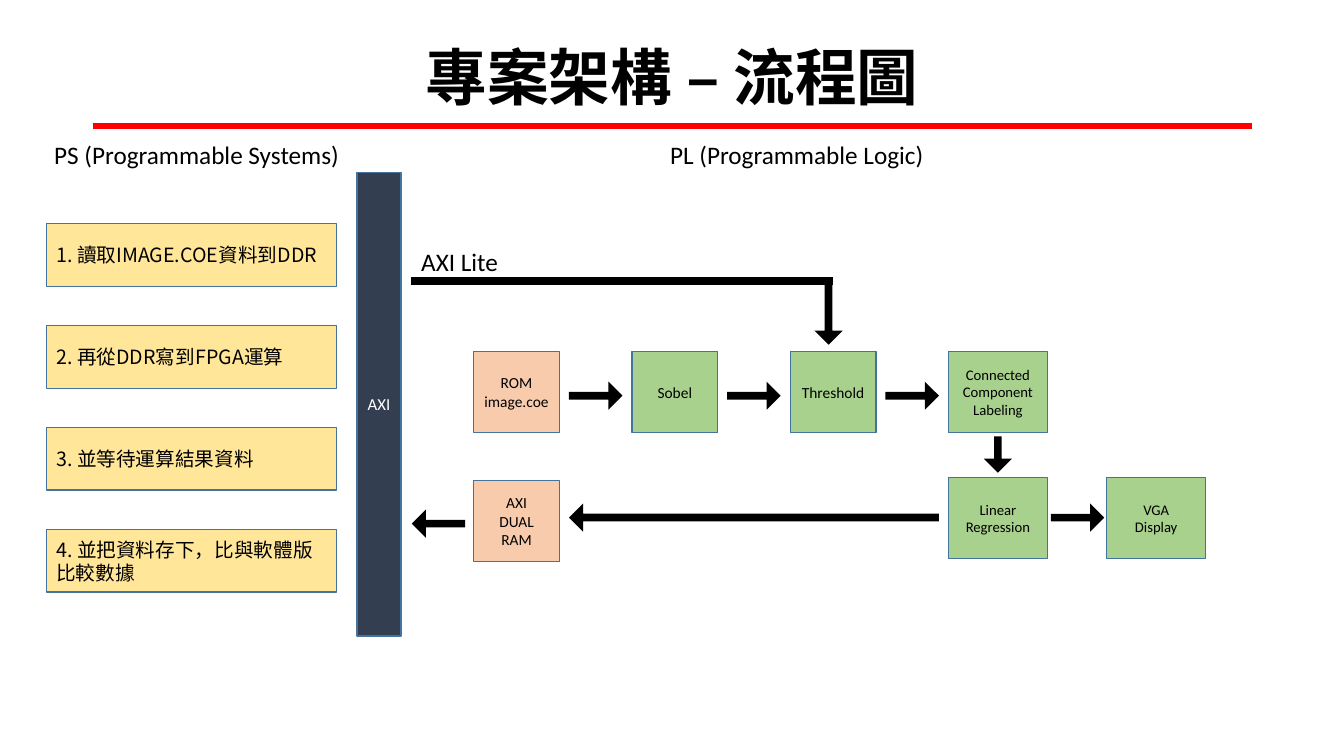
import pptx
import pptx.dml.color
import pptx.enum.shapes
import pptx.enum.text
import pptx.oxml.ns
import pptx.util
from lxml import etree

RGBColor = pptx.dml.color.RGBColor
Shape = pptx.enum.shapes.MSO_SHAPE
Align = pptx.enum.text.PP_ALIGN
Anchor = pptx.enum.text.MSO_ANCHOR

BLACK = RGBColor(0x00, 0x00, 0x00)
WHITE = RGBColor(0xFF, 0xFF, 0xFF)
RED = RGBColor(0xFF, 0x00, 0x00)
NAVY = RGBColor(0x33, 0x3F, 0x50)
BLUE = RGBColor(0x43, 0x73, 0x9E)
PEACH = RGBColor(0xF8, 0xCB, 0xAD)
GREEN = RGBColor(0xA9, 0xD1, 0x8E)
YELLOW = RGBColor(0xFF, 0xE6, 0x99)

LATIN_FONT = "Calibri"
TITLE_FONT = "Times New Roman"
CHINESE_FONT = "Noto Sans CJK SC"

# The slide is a grid of 160 columns by 90 rows
COLUMNS, ROWS = 160, 90
DOWN, LEFT, RIGHT = 0, 90, 270


class FlowSlide:
    """Holds the style and the current slide; lengths are grid units."""

    def __init__(self, presentation):
        self.column = presentation.slide_width / COLUMNS
        self.row = presentation.slide_height / ROWS
        self.slide = presentation.slides.add_slide(presentation.slide_layouts[5])

    def place(self, left, top, width, height):
        return (round(left * self.column), round(top * self.row),
                round(width * self.column), round(height * self.row))

    def set_text(self, shape, text, size, font=LATIN_FONT, color=BLACK,
                 align=Align.CENTER, bold=False):
        frame = shape.text_frame
        frame.text = text
        for paragraph in frame.paragraphs:
            paragraph.alignment = align
            paragraph.font.name = font
            paragraph.font.size = pptx.util.Pt(size)
            paragraph.font.bold = bold
            paragraph.font.color.rgb = color
        return frame

    def title(self, text, *area):
        title = self.slide.shapes.title
        title.left, title.top, title.width, title.height = self.place(*area)
        frame = self.set_text(title, text, 44, TITLE_FONT, bold=True)
        frame.vertical_anchor = Anchor.MIDDLE
        frame.paragraphs[0].line_spacing = 0.9

    def box(self, text, area, fill, size, **style):
        box = self.slide.shapes.add_shape(Shape.RECTANGLE, *self.place(*area))
        box.shadow.inherit = False
        box.fill.solid()
        box.fill.fore_color.rgb = fill
        box.line.color.rgb = BLUE
        box.line.width = pptx.util.Pt(1)
        frame = self.set_text(box, text, size, **style)
        frame.vertical_anchor = Anchor.MIDDLE
        frame.word_wrap = True

    def label(self, text, left, top, width):
        label = self.slide.shapes.add_textbox(*self.place(left, top, width, 4.8))
        frame = self.set_text(label, text, 18, align=Align.LEFT)
        frame.word_wrap = False
        frame.auto_size = pptx.enum.text.MSO_AUTO_SIZE.SHAPE_TO_FIT_TEXT

    def rule(self, left, right, y, color, width):
        x, y, length, _ = self.place(left, y, right - left, 0)
        line = self.slide.shapes.add_connector(
            pptx.enum.shapes.MSO_CONNECTOR.STRAIGHT, x, y, x + length, y)
        line.line.color.rgb = color
        line.line.width = pptx.util.Pt(width)
        properties = line._element.spPr
        etree.SubElement(properties, pptx.oxml.ns.qn("a:effectLst"))

    def arrow(self, center_x, center_y, length, direction):
        thickness = 3.36
        arrow = self.slide.shapes.add_shape(Shape.DOWN_ARROW, *self.place(
            center_x - thickness / 2, center_y - length / 2, thickness, length))
        arrow.adjustments[0] = 0.273
        arrow.adjustments[1] = 0.5
        arrow.rotation = direction
        arrow.shadow.inherit = False
        arrow.fill.solid()
        arrow.fill.fore_color.rgb = BLACK
        arrow.line.fill.background()


def main():
    presentation = pptx.Presentation()
    presentation.slide_width = pptx.util.Inches(13.33)
    presentation.slide_height = pptx.util.Inches(7.5)
    flow = FlowSlide(presentation)

    # Heading and section labels
    flow.rule(11.04, 149.04, 15, RED, 4.5)
    flow.title("專案架構 – 流程圖", 11.04, 4.8, 138, 9.48)
    flow.label("PS (Programmable Systems)", 5.28, 15.96, 36.72)
    flow.label("PL (Programmable Logic)", 78.6, 15.96, 32.88)

    # Processing system steps
    steps = ["1. 讀取IMAGE.COE資料到DDR", "2. 再從DDR寫到FPGA運算",
             "3. 並等待運算結果資料", "4. 並把資料存下，比與軟體版比較數據"]
    for index, step in enumerate(steps):
        flow.box(step, (5.52, 26.64 + 12.14 * index, 34.56, 7.44), YELLOW, 14,
                 font=CHINESE_FONT, align=Align.LEFT)

    # Bus between the two sides
    flow.box("AXI", (42.48, 20.52, 5.28, 55.2), NAVY, 12, color=WHITE)

    # Logic stages: grid column, top row, width, fill, text size
    first, pitch = 56.4, 18.84
    upper, lower, memory = 41.88, 56.88, 57.24
    stages = [
        ("ROM\nimage.coe", 0, upper, 10.2, PEACH, 11),
        ("Sobel", 1, upper, 10.2, GREEN, 11),
        ("Threshold", 2, upper, 10.2, GREEN, 11),
        ("Connected Component Labeling", 3, upper, 11.76, GREEN, 10.5),
        ("AXI\nDUAL\nRAM", 0, memory, 10.2, PEACH, 11),
        ("Linear\nRegression", 3, lower, 11.76, GREEN, 10.5),
        ("VGA\nDisplay", 4, lower, 11.76, GREEN, 10.5),
    ]
    for text, stage, top, width, fill, size in stages:
        flow.box(text, (first + pitch * stage, top, width, 9.6), fill, size)

    # Data flow arrows
    for gap in range(3):
        flow.arrow(70.92 + pitch * gap, 47.1, 6.36, RIGHT)
    flow.arrow(118.8, 54.12, 4.32, DOWN)
    flow.arrow(128.28, 61.62, 6.36, RIGHT)
    flow.arrow(89.76, 61.62, 44.04, LEFT)
    flow.arrow(52.2, 62.34, 6.36, LEFT)

    # Control path to the threshold stage
    flow.label("AXI Lite", 48.96, 28.68, 11.64)
    flow.rule(48.96, 99.12, 33.48, BLACK, 6)
    flow.arrow(98.64, 37.26, 7.56, DOWN)

    presentation.save("out.pptx")


if __name__ == "__main__":
    main()
